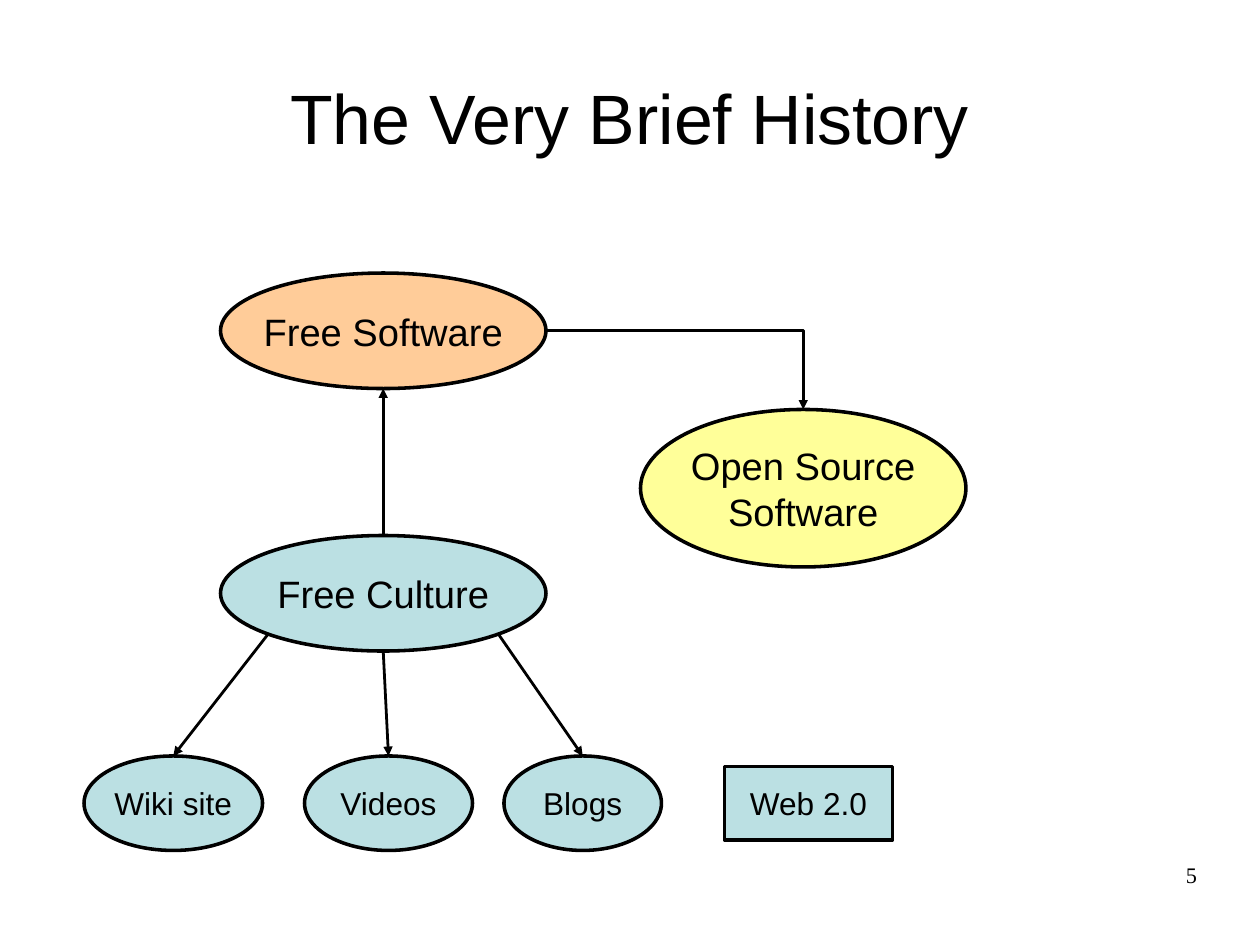
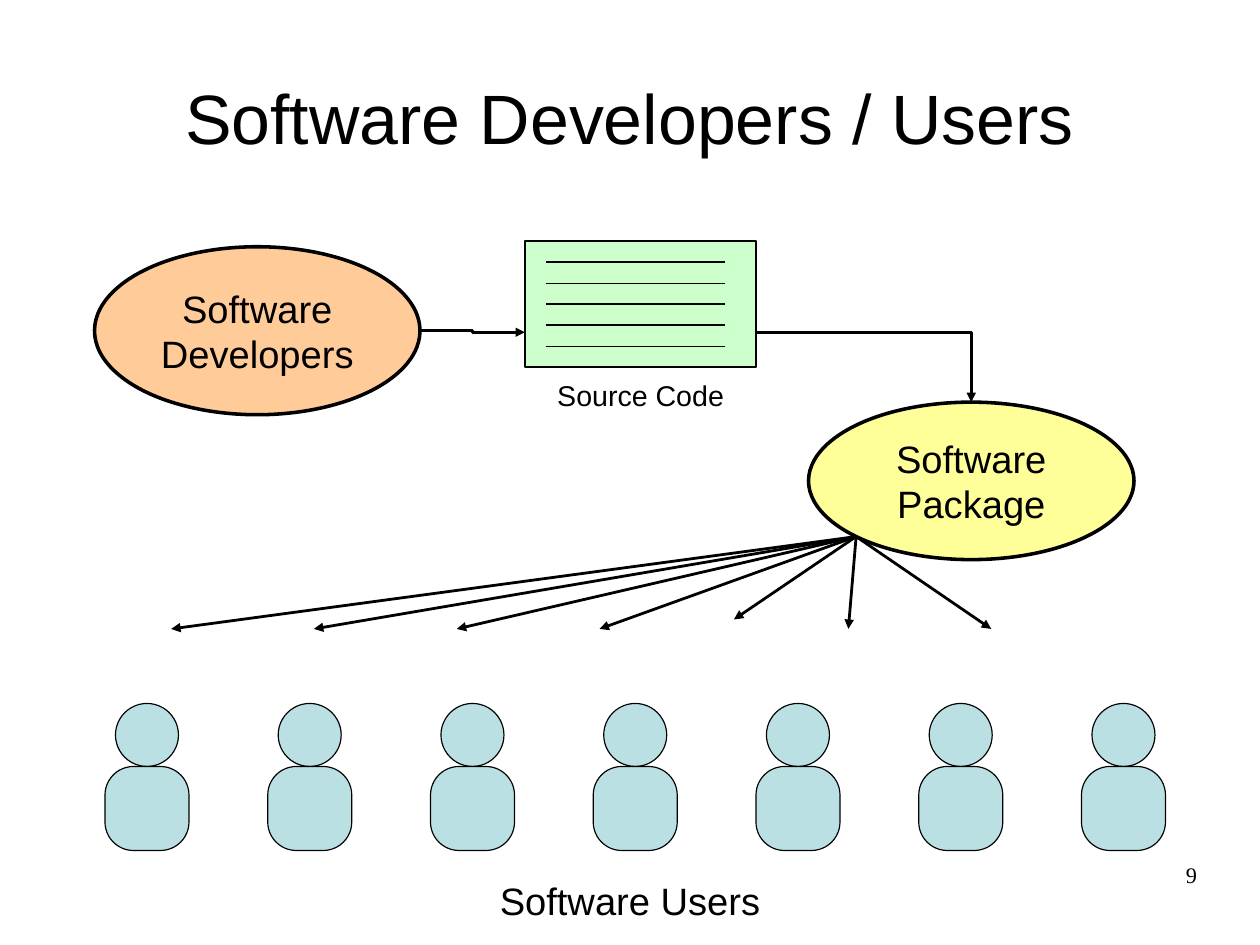
from dataclasses import dataclass
from math import sqrt
from typing import Any, NamedTuple

from lxml import etree
from pptx import Presentation
from pptx import util as u
from pptx.dml import color
from pptx.enum import shapes, text
from pptx.oxml import ns

COLS, ROWS = 120, 90
WIDTH, HEIGHT = u.Cm(28), u.Cm(21)
BLACK, ORANGE, YELLOW, BLUE, GREEN = "000000", "FFCC99", "FFFF99", "BBE0E3", "CCFFCC"
SANS, SERIF = "Arial", "Times New Roman"
ELLIPSE = shapes.MSO_SHAPE.OVAL
RECT = shapes.MSO_SHAPE.RECTANGLE
ROUNDED = shapes.MSO_SHAPE.ROUNDED_RECTANGLE
STRAIGHT, ELBOW = shapes.MSO_CONNECTOR.STRAIGHT, shapes.MSO_CONNECTOR.ELBOW
LEFT, CENTER, RIGHT = text.PP_ALIGN.LEFT, text.PP_ALIGN.CENTER, text.PP_ALIGN.RIGHT
DIAGONAL = sqrt(0.5) / 2


class Point(NamedTuple):
    x: float
    y: float


@dataclass(frozen=True)
class Box:
    x: float
    y: float
    w: float
    h: float

    def at(self, fx: float, fy: float) -> Point:
        return Point(self.x + fx * self.w, self.y + fy * self.h)

    @property
    def top(self) -> Point:
        return self.at(0.5, 0)

    @property
    def bottom(self) -> Point:
        return self.at(0.5, 1)

    @property
    def right(self) -> Point:
        return self.at(1, 0.5)

    @property
    def lower_left(self) -> Point:
        return self.at(0.5 - DIAGONAL, 0.5 + DIAGONAL)

    @property
    def lower_right(self) -> Point:
        return self.at(0.5 + DIAGONAL, 0.5 + DIAGONAL)


@dataclass(frozen=True)
class Node:
    label: str
    box: Box
    fill: str
    size: float = 24
    shape: Any = ELLIPSE


TITLE = Box(6, 3.6, 108, 15)
PAGE_NUMBER = Box(86, 82, 28, 6.2)


def rgb(value: str) -> color.RGBColor:
    return color.RGBColor.from_string(value)


def gx(cols: float) -> int:
    return round(WIDTH * cols / COLS)


def gy(rows: float) -> int:
    return round(HEIGHT * rows / ROWS)


def place(box: Box) -> tuple[int, int, int, int]:
    return gx(box.x), gy(box.y), gx(box.w), gy(box.h)


def write(tf: Any, label: str, size: float, align: Any = CENTER, font: str = SANS) -> None:
    tf.text = label
    for p in tf.paragraphs:
        p.alignment = align
        p.font.size = u.Pt(size)
        p.font.name = font
        p.font.color.rgb = rgb(BLACK)


def add_label(parent: Any, box: Box, label: str, size: float, align: Any = CENTER,
              font: str = SANS, inset: bool = True) -> None:
    tf = parent.shapes.add_textbox(*place(box)).text_frame
    tf.word_wrap = True
    if not inset:
        tf.margin_left = tf.margin_right = tf.margin_top = tf.margin_bottom = 0
    write(tf, label, size, align, font)


def add_figure(parent: Any, shape: Any, box: Box, fill: str, weight: float) -> Any:
    sp = parent.shapes.add_shape(shape, *place(box))
    sp.shadow.inherit = False
    sp.fill.solid()
    sp.fill.fore_color.rgb = rgb(fill)
    sp.line.color.rgb = rgb(BLACK)
    sp.line.width = u.Pt(weight)
    return sp


def add_node(parent: Any, node: Node) -> None:
    tf = add_figure(parent, node.shape, node.box, node.fill, 2.25).text_frame
    tf.word_wrap = False
    tf.vertical_anchor = text.MSO_ANCHOR.MIDDLE
    write(tf, node.label, node.size)


def add_line(parent: Any, start: Point, end: Point, weight: float = 1.25,
             kind: Any = STRAIGHT) -> Any:
    line = parent.shapes.add_connector(kind, gx(start.x), gy(start.y), gx(end.x), gy(end.y))
    line.line.color.rgb = rgb(BLACK)
    line.line.width = u.Pt(weight)
    etree.SubElement(line._element.spPr, ns.qn("a:effectLst"))
    return line


def add_arrow(parent: Any, start: Point, end: Point, kind: Any = STRAIGHT) -> Any:
    arrow = add_line(parent, start, end, 1.75, kind)
    ln = arrow._element.spPr.find(ns.qn("a:ln"))
    etree.SubElement(ln, ns.qn("a:tailEnd"), type="triangle")
    return arrow


def add_corner_arrow(parent: Any, start: Point, end: Point) -> None:
    arrow = add_arrow(parent, start, end, ELBOW)
    arrow._element.spPr.find(ns.qn("a:prstGeom")).set("prst", "bentConnector2")


def add_slide(prs: Any, title: str, number: int) -> Any:
    s = prs.slides.add_slide(prs.slide_layouts[5])
    sp = s.shapes.title
    sp.left, sp.top, sp.width, sp.height = place(TITLE)
    sp.text_frame.auto_size = text.MSO_AUTO_SIZE.NONE
    sp.text_frame.vertical_anchor = text.MSO_ANCHOR.MIDDLE
    write(sp.text_frame, title, 44)
    add_label(s, PAGE_NUMBER, str(number), 14, RIGHT, SERIF, inset=False)
    return s


def add_person(s: Any, x: float) -> None:
    person = s.shapes.add_group_shape()
    add_figure(person, ELLIPSE, Box(x + 1, 67, 6, 6), BLUE, 0.75)
    body = add_figure(person, ROUNDED, Box(x, 73, 8, 8), BLUE, 0.75)
    body.adjustments[0] = 0.34


def add_document(s: Any, box: Box) -> None:
    document = s.shapes.add_group_shape()
    add_figure(document, RECT, box, GREEN, 1.25)
    for i in range(5):
        y = box.y + 2 * (i + 1)
        add_line(document, Point(box.x + 2, y), Point(box.x + 19, y))
    add_label(document, Box(box.x + 2, box.y + 12.5, 20, 4.1), "Source Code", 18, LEFT)


def build_history(prs: Any) -> None:
    s = add_slide(prs, "The Very Brief History", 5)
    software = Node("Free Software", Box(21, 26, 31, 11), ORANGE)
    culture = Node("Free Culture", Box(21, 51, 31, 11), BLUE)
    open_source = Node("Open Source\nSoftware", Box(61, 39, 31, 15), YELLOW)
    examples = [
        Node("Wiki site", Box(8, 72, 17, 9), BLUE, 19.9),
        Node("Videos", Box(29, 72, 16, 9), BLUE, 19.9),
        Node("Blogs", Box(48, 72, 15, 9), BLUE, 19.9),
    ]
    web = Node("Web 2.0", Box(69, 73, 16, 7), BLUE, 19.9, RECT)
    for node in (open_source, software, culture, *examples, web):
        add_node(s, node)
    add_corner_arrow(s, software.box.right, open_source.box.top)
    add_arrow(s, culture.box.top, software.box.bottom)
    starts = (culture.box.lower_left, culture.box.bottom, culture.box.lower_right)
    for start, example in zip(starts, examples):
        add_arrow(s, start, example.box.top)


def build_users(prs: Any) -> None:
    s = add_slide(prs, "Software Developers / Users", 9)
    developers = Node("Software\nDevelopers", Box(9, 23.5, 31, 16), ORANGE)
    package = Node("Software\nPackage", Box(77, 38.3, 31, 15), YELLOW)
    document = Box(50, 23, 22, 12)
    for node in (developers, package):
        add_node(s, node)
    for i in range(7):
        add_person(s, 10 + 15.5 * i)
    add_label(s, Box(16, 83, 88, 5.1), "Software Users", 24)
    add_document(s, document)
    add_arrow(s, developers.box.right, document.at(0, 0.72), ELBOW)
    add_corner_arrow(s, document.at(1, 0.72), package.box.top)
    targets = [Point(16.3 + 13.6 * i, 59.9) for i in range(4)]
    targets += [Point(69.9, 59), Point(80.8, 59.9), Point(94.4, 59.9)]
    for target in targets:
        add_arrow(s, package.box.lower_left, target)


def main() -> None:
    prs = Presentation()
    prs.slide_width, prs.slide_height = WIDTH, HEIGHT
    build_history(prs)
    build_users(prs)
    prs.save("out.pptx")


if __name__ == "__main__":
    main()
